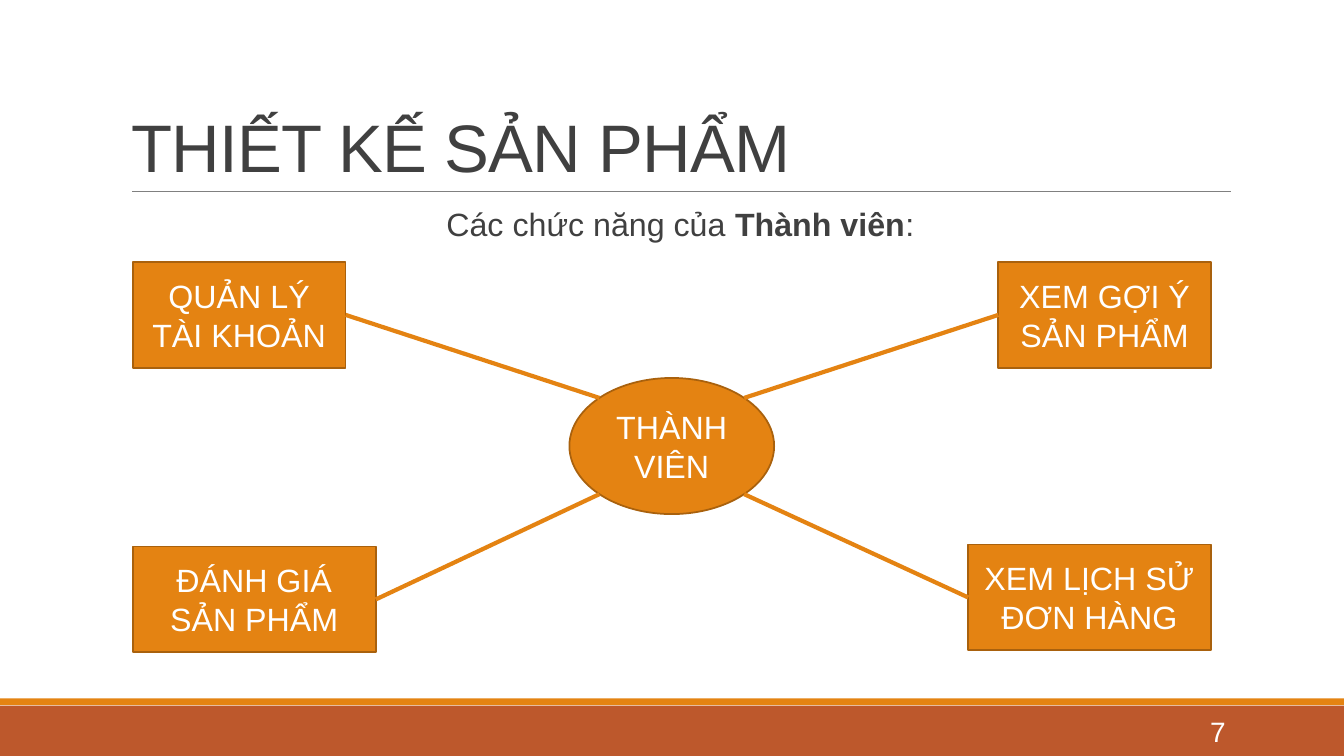
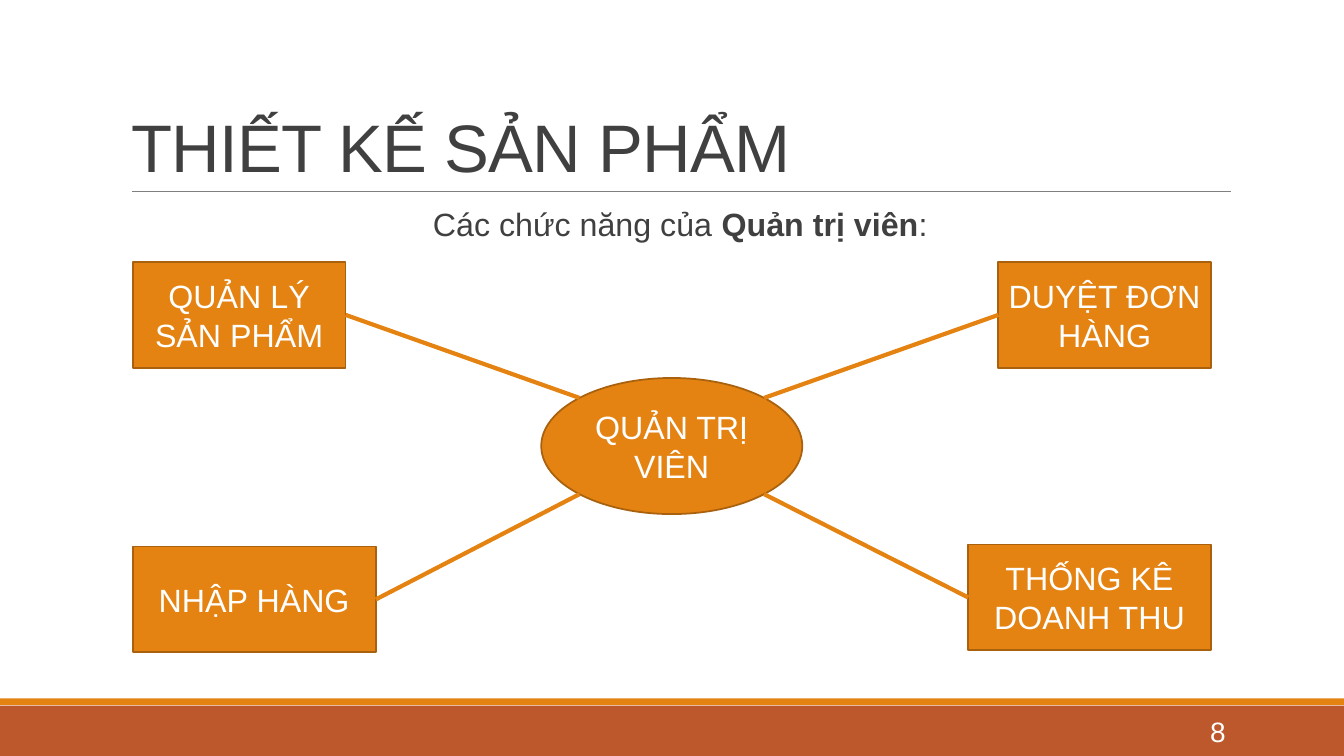
from math import sqrt

from lxml import etree
from pptx import Presentation
from pptx.dml.color import RGBColor
from pptx.enum.shapes import MSO_CONNECTOR as LINK, MSO_SHAPE as SHAPE
from pptx.enum.text import MSO_ANCHOR as ANCHOR, MSO_AUTO_SIZE as FIT, PP_ALIGN as ALIGN
from pptx.oxml.ns import qn
from pptx.util import Cm, Pt

# Colours and font
ORANGE = RGBColor(0xE4, 0x83, 0x12)
BROWN = RGBColor(0xA9, 0x61, 0x0D)
RUST = RGBColor(0xBD, 0x58, 0x2C)
GREY = RGBColor(0x80, 0x80, 0x80)
DARK = RGBColor(0x40, 0x40, 0x40)
WHITE = RGBColor(0xFF, 0xFF, 0xFF)
FONT = "Arial"

# Slide texts: number, role, hub label, hub width, box labels
SLIDES = [
    (7, "Thành viên", "THÀNH VIÊN", 5.16,
     ["QUẢN LÝ TÀI KHOẢN", "XEM GỢI Ý SẢN PHẨM",
      "ĐÁNH GIÁ SẢN PHẨM", "XEM LỊCH SỬ ĐƠN HÀNG"]),
    (8, "Quản trị viên", "QUẢN TRỊ VIÊN", 6.58,
     ["QUẢN LÝ SẢN PHẨM", "DUYỆT ĐƠN HÀNG",
      "NHẬP HÀNG", "THỐNG KÊ DOANH THU"]),
]

# Diagram grid in cm
LEFT, RIGHT = 3.35, 30.52
BOX_H = 2.67
HUB_X, HUB_Y, HUB_H = 16.93, 11.24, 3.43
# Corners: side, up or down, top, width
SPOTS = [(-1, -1, 6.6, 5.36), (1, -1, 6.6, 5.36),
         (-1, 1, 13.77, 6.12), (1, 1, 13.72, 6.12)]


def write(shape, text, size=23, color=WHITE, align=ALIGN.CENTER,
          anchor=ANCHOR.MIDDLE, lead=1.0, track=None):
    """Put text into a shape; parts between bars are bold."""
    frame = shape.text_frame
    frame.word_wrap = True
    frame.auto_size = FIT.NONE
    frame.vertical_anchor = anchor
    para = frame.paragraphs[0]
    para.alignment = align
    para.line_spacing = lead
    for i, part in enumerate(text.split("|")):
        run = para.add_run()
        run.text = part
        run.font.name = FONT
        run.font.size = Pt(size)
        run.font.bold = i % 2 == 1
        run.font.color.rgb = color
        if track is not None:
            run.font._element.set("spc", str(track))


def draw(slide, kind, x, y, w, h, fill, edge=None):
    """Add a flat filled shape, sized in cm."""
    shape = slide.shapes.add_shape(kind, Cm(x), Cm(y), Cm(w), Cm(h))
    shape.shadow.inherit = False
    shape.fill.solid()
    shape.fill.fore_color.rgb = fill
    if edge is None:
        shape.line.fill.background()
    else:
        shape.line.color.rgb = edge
        shape.line.width = Pt(1.25)
    return shape


deck = Presentation()
deck.slide_width, deck.slide_height = Cm(33.87), Cm(19.05)

for page, role, hub, hub_w, labels in SLIDES:
    slide = deck.slides.add_slide(deck.slide_layouts[5])
    shapes = slide.shapes

    # Footer bands and page number
    draw(slide, SHAPE.RECTANGLE, 0, 17.78, 33.87, 1.27, RUST)
    draw(slide, SHAPE.RECTANGLE, 0, 17.6, 33.87, 0.17, ORANGE)
    num = shapes.add_textbox(Cm(27.51), Cm(17.93), Cm(3.63), Cm(1.02))
    write(num, str(page), size=20, align=ALIGN.RIGHT)

    # Title
    title = shapes.title
    title.left, title.top = Cm(3.05), Cm(0.79)
    title.width, title.height = Cm(27.94), Cm(4.04)
    write(title, "THIẾT KẾ SẢN PHẨM", size=48, color=DARK, align=ALIGN.LEFT,
          anchor=ANCHOR.BOTTOM, lead=0.85, track=-50)

    # Heading over the diagram
    head = shapes.add_textbox(Cm(3.05), Cm(5.13), Cm(27.94), Cm(1.2))
    head.text_frame.margin_left = Cm(0.25)
    head.text_frame.margin_right = 0
    write(head, f"Các chức năng của |{role}|:", color=DARK,
          anchor=ANCHOR.TOP, lead=0.9)

    # Hub and corner boxes
    oval = draw(slide, SHAPE.OVAL, HUB_X - hub_w / 2, HUB_Y - HUB_H / 2,
                hub_w, HUB_H, ORANGE, BROWN)
    write(oval, hub)
    lines = [shapes.add_connector(LINK.STRAIGHT, Cm(3.33), Cm(4.83), Cm(31.01), Cm(4.83))]
    lines[0].line.color.rgb = GREY
    lines[0].line.width = Pt(0.5)
    for label, (side, down, top, wide) in zip(labels, SPOTS):
        x = LEFT if side < 0 else RIGHT - wide
        box = draw(slide, SHAPE.RECTANGLE, x, top, wide, BOX_H, ORANGE, BROWN)
        write(box, label)

        # Link from the inner edge of the box to the hub's diagonal point
        link = shapes.add_connector(
            LINK.STRAIGHT, 0, 0,
            Cm(HUB_X + side * hub_w / sqrt(8)), Cm(HUB_Y + down * HUB_H / sqrt(8)))
        link.begin_connect(box, 3 if side < 0 else 1)
        link.line.color.rgb = ORANGE
        link.line.width = Pt(3)
        lines.append(link)

    # Lines cast no shadow
    for line in lines:
        etree.SubElement(line._element.spPr, qn("a:effectLst"))

deck.save("out.pptx")
